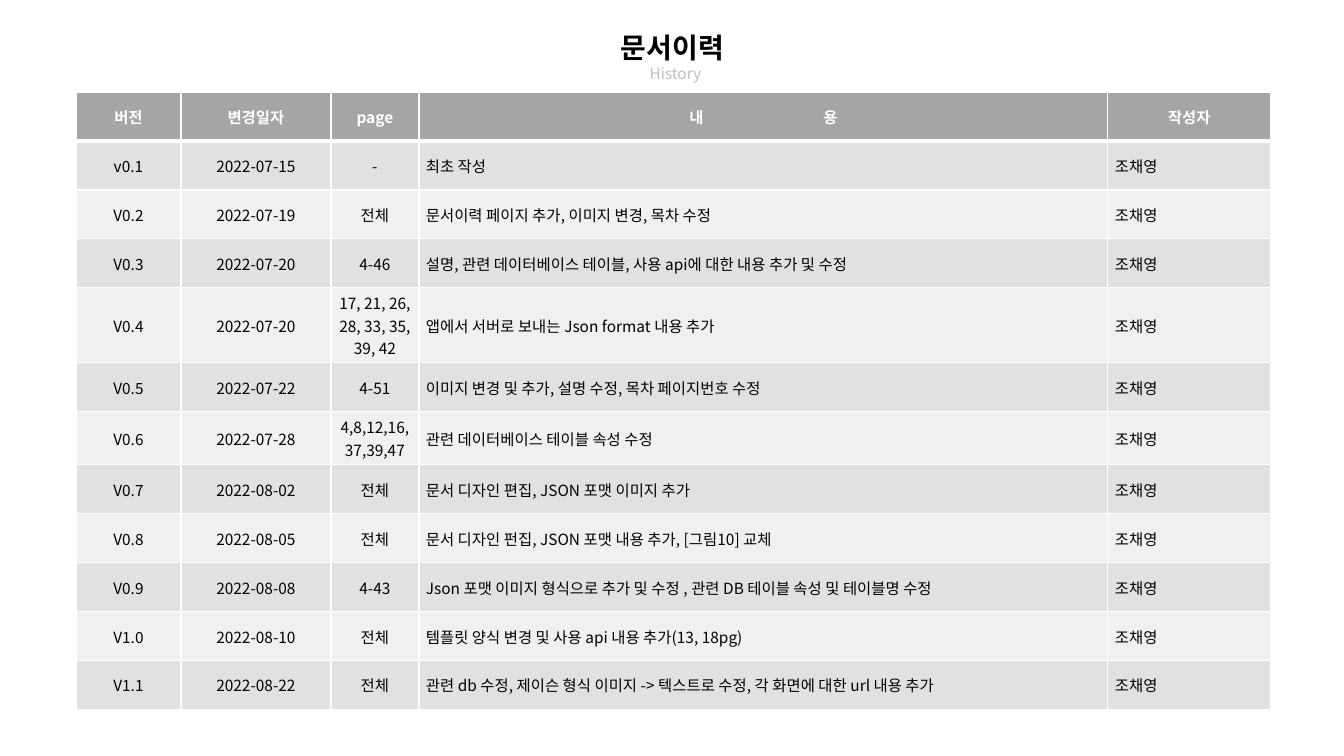
from dataclasses import dataclass

from lxml import etree
from pptx import Presentation
from pptx.dml.color import RGBColor
from pptx.enum.text import MSO_ANCHOR, MSO_AUTO_SIZE, PP_ALIGN
from pptx.oxml.ns import qn
from pptx.util import Emu, Pt

CENTER, LEFT = PP_ALIGN.CENTER, PP_ALIGN.LEFT
MIDDLE, TOP = MSO_ANCHOR.MIDDLE, MSO_ANCHOR.TOP
GROW = MSO_AUTO_SIZE.SHAPE_TO_FIT_TEXT

EMU_PER_PX = 914400 / 100.8
FONT = "Noto Sans CJK KR"
BLACK = RGBColor(0x00, 0x00, 0x00)
WHITE = RGBColor(0xFF, 0xFF, 0xFF)
SUBTITLE_GREY = RGBColor(0xBF, 0xBF, 0xBF)
HEADER_GREY = RGBColor(0xA5, 0xA5, 0xA5)
BAND_GREYS = (RGBColor(0xE1, 0xE1, 0xE1), RGBColor(0xF0, 0xF0, 0xF0))

TITLE_FORMAT = {"size": Pt(20), "bold": True, "color": BLACK}
SUBTITLE_FORMAT = {"size": Pt(11), "bold": False, "color": SUBTITLE_GREY}
HEADER_FORMAT = {"size": Pt(11), "bold": True, "color": WHITE}
BODY_FORMAT = {"size": Pt(11), "bold": False, "color": BLACK}

ROW_HEIGHT = 49
THIN, THICK = Pt(1), Pt(3)
WIDE_SPACING = 4150  # hundredths of a point, between the letters of "내 용"


@dataclass(frozen=True)
class Column:
    heading: tuple[str, ...]
    width: int
    align: PP_ALIGN


@dataclass(frozen=True)
class Revision:
    version: str
    date: str
    pages: str
    change: str
    height: int = ROW_HEIGHT
    author: str = "조채영"

    def texts(self) -> tuple[str, ...]:
        return self.version, self.date, self.pages, self.change, self.author


COLUMNS = (
    Column(("버전",), 105, CENTER),
    Column(("변경일자",), 150, CENTER),
    Column(("page",), 88, CENTER),
    Column(("내 ", "용"), 689, LEFT),
    Column(("작성자",), 163, LEFT),
)

REVISIONS = (
    Revision("v0.1", "2022-07-15", "-", "최초 작성"),
    Revision("V0.2", "2022-07-19", "전체", "문서이력 페이지 추가, 이미지 변경, 목차 수정"),
    Revision("V0.3", "2022-07-20", "4-46",
             "설명, 관련 데이터베이스 테이블, 사용 api에 대한 내용 추가 및 수정"),
    Revision("V0.4", "2022-07-20", "17, 21, 26, 28, 33, 35, 39, 42",
             "앱에서 서버로 보내는 Json format 내용 추가", 75),
    Revision("V0.5", "2022-07-22", "4-51",
             "이미지 변경 및 추가, 설명 수정, 목차 페이지번호 수정"),
    Revision("V0.6", "2022-07-28", "4,8,12,16,37,39,47",
             "관련 데이터베이스 테이블 속성 수정", 53),
    Revision("V0.7", "2022-08-02", "전체", "문서 디자인 편집, JSON 포맷 이미지 추가"),
    Revision("V0.8", "2022-08-05", "전체",
             "문서 디자인 펀집, JSON 포맷 내용 추가, [그림10] 교체"),
    Revision("V0.9", "2022-08-08", "4-43",
             "Json 포맷 이미지 형식으로 추가 및 수정 , 관련 DB 테이블 속성 및 테이블명 수정"),
    Revision("V1.0", "2022-08-10", "전체",
             "템플릿 양식 변경 및 사용 api 내용 추가(13, 18pg)"),
    Revision("V1.1", "2022-08-22", "전체",
             "관련 db 수정, 제이슨 형식 이미지 -> 텍스트로 수정, 각 화면에 대한 url 내용 추가"),
)


def px(n: int) -> Emu:
    return Emu(round(n * EMU_PER_PX))


def add_run(p, text: str, fmt: dict):
    r = p.add_run()
    r.text = text
    r.font.name = FONT
    for name, value in fmt.items():
        if name == "color":
            r.font.color.rgb = value
        else:
            setattr(r.font, name, value)
    etree.SubElement(r.font._element, qn("a:ea"), typeface=FONT)
    return r


def set_borders(cell, top: int, bottom: int) -> None:
    """Draw white lines round the cell; the sides are thin."""
    tcPr = cell._tc.get_or_add_tcPr()
    sides = {"lnL": THIN, "lnR": THIN, "lnT": top, "lnB": bottom}
    for i, (side, width) in enumerate(sides.items()):
        ln = etree.Element(qn(f"a:{side}"), w=str(int(width)))
        fill = etree.SubElement(ln, qn("a:solidFill"))
        etree.SubElement(fill, qn("a:srgbClr"), val=str(WHITE))
        tcPr.insert(i, ln)


def fill_cell(cell, parts: tuple[str, ...], align: PP_ALIGN, fmt: dict,
              fill: RGBColor, top: int, bottom: int) -> None:
    """Write the parts as runs, widely letter-spaced where there are several."""
    layout = {"vertical_anchor": MIDDLE, "margin_left": px(7), "margin_right": px(7),
              "margin_top": px(4), "margin_bottom": px(4)}
    for name, value in layout.items():
        setattr(cell, name, value)
    cell.fill.solid()
    cell.fill.fore_color.rgb = fill
    p = cell.text_frame.paragraphs[0]
    p.alignment = align
    runs = [add_run(p, part, fmt) for part in parts]
    for r in runs[:-1]:
        r.font._element.set("spc", str(WIDE_SPACING))
    set_borders(cell, top, bottom)


def add_title(slide) -> None:
    sp = slide.shapes.title
    sp.left, sp.top, sp.width, sp.height = map(px, (589, 25, 167, 62))
    tf = sp.text_frame
    for name, value in {"word_wrap": True, "auto_size": GROW,
                        "vertical_anchor": TOP}.items():
        setattr(tf, name, value)
    p = tf.paragraphs[0]
    p.alignment = CENTER
    add_run(p, "문서이력", TITLE_FORMAT)
    p = tf.add_paragraph()
    p.alignment = CENTER
    p._p.get_or_add_pPr().set("marL", str(px(6)))
    add_run(p, "History", SUBTITLE_FORMAT)


def add_history(slide) -> None:
    heights = [ROW_HEIGHT] + [rev.height for rev in REVISIONS]
    frame = slide.shapes.add_table(
        len(heights), len(COLUMNS), px(76), px(92),
        px(sum(col.width for col in COLUMNS)), px(sum(heights)))
    table = frame.table
    for row, height in zip(table.rows, heights):
        row.height = px(height)
    for c, col in enumerate(COLUMNS):
        table.columns[c].width = px(col.width)
        fill_cell(table.cell(0, c), col.heading, CENTER, HEADER_FORMAT,
                  HEADER_GREY, THIN, THICK)
        for i, rev in enumerate(REVISIONS):
            fill_cell(table.cell(i + 1, c), (rev.texts()[c],), col.align, BODY_FORMAT,
                      BAND_GREYS[i % 2], THIN if i else THICK, THIN)


def main() -> None:
    prs = Presentation()
    prs.slide_width, prs.slide_height = px(1344), px(756)
    slide = prs.slides.add_slide(prs.slide_layouts.get_by_name("Title Only"))
    add_history(slide)
    add_title(slide)
    prs.save("out.pptx")


if __name__ == "__main__":
    main()
